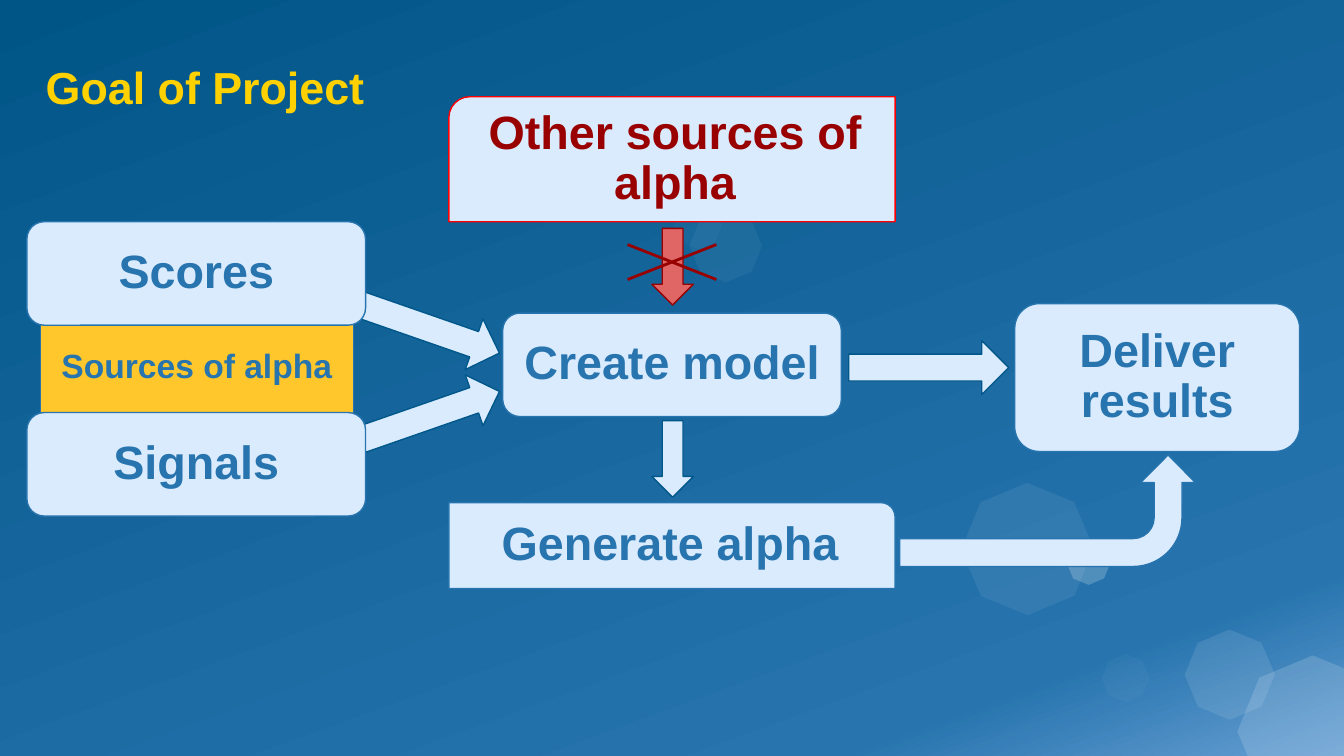
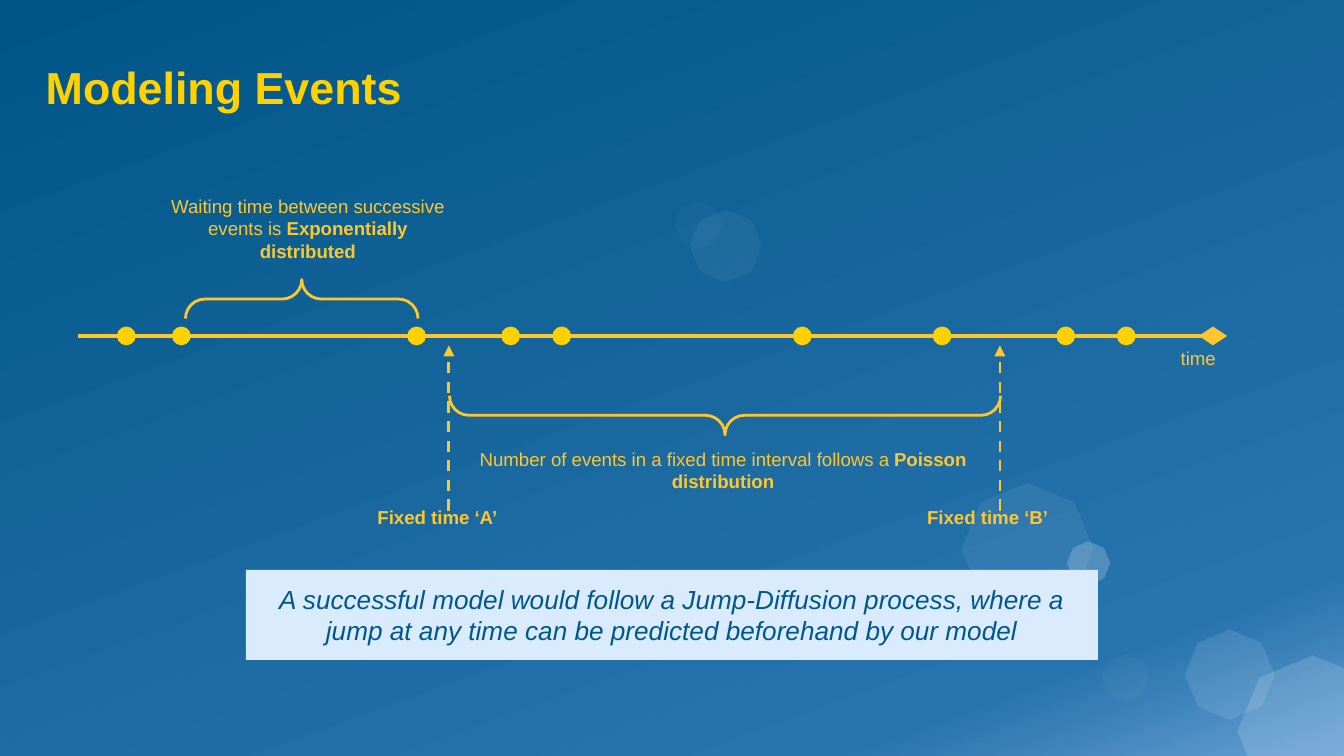
"""Build two slides: the goal of the project and the modeling of events."""
from copy import deepcopy

from pptx import Presentation
from pptx.dml.color import RGBColor
from pptx.enum.dml import MSO_LINE
from pptx.enum.shapes import MSO_CONNECTOR, MSO_SHAPE as Preset
from pptx.enum.text import MSO_ANCHOR as Anchor, MSO_AUTO_SIZE as AutoSize, PP_ALIGN as Align
from pptx.oxml.ns import qn
from pptx.oxml.xmlchemy import OxmlElement
from pptx.util import Emu, Inches, Pt

WHITE = RGBColor(0xFF, 0xFF, 0xFF)
DEEP_BLUE = RGBColor(0x00, 0x55, 0x87)
INK_BLUE = RGBColor(0x00, 0x57, 0x8A)
BLUE = RGBColor(0x27, 0x74, 0xAE)
SKY_BLUE = RGBColor(0x66, 0x9F, 0xD3)
PALE_BLUE = RGBColor(0xDA, 0xEB, 0xFE)
GOLD = RGBColor(0xFF, 0xD1, 0x00)
AMBER = RGBColor(0xFF, 0xC7, 0x2B)
RED = RGBColor(0xFF, 0x00, 0x00)
DARK_RED = RGBColor(0x99, 0x00, 0x00)
CROSS_RED = RGBColor(0x98, 0x00, 0x00)
SOFT_RED = RGBColor(0xE0, 0x66, 0x66)

FONT = "Arial"
SLIDE_WIDTH = Inches(10)
SLIDE_HEIGHT = SLIDE_WIDTH * 9 // 16
GRID = SLIDE_WIDTH // 100
CENTER = 50
AXIS_ROW = 25
BACKGROUND_STOPS = ((0, DEEP_BLUE), (0.85, BLUE), (1, SKY_BLUE))
BOKEH = (
    (92.5, 49.2, 10.4, 15), (88.4, 47.1, 6.2, 10), (71.9, 36.3, 9.1, 7), (79.5, 40.4, 3, 20),
    (82.1, 48.8, 3.3, 3), (50.3, 15.1, 3.3, 3), (51.5, 15.8, 5, 5),
)
EVENT_COLUMNS = (9.4, 13.5, 31, 38, 41.8, 59.7, 70.1, 79.3, 83.8)


def cells(*values):
    """Turn grid columns and rows into slide lengths."""
    return [Emu(round(value * GRID)) for value in values]


def add_preset(slide, preset, box, fill=None, line=None, weight=0.75, rotation=0, flip=False):
    """Add a preset shape on the grid, without a shadow."""
    shape = slide.shapes.add_shape(preset, *cells(*box))
    shape.shadow.inherit = False
    shape.rotation = rotation
    if fill is None:
        shape.fill.background()
    else:
        shape.fill.solid()
        shape.fill.fore_color.rgb = fill
    if line is None:
        shape.line.fill.background()
    else:
        shape.line.color.rgb = line
        shape.line.width = Pt(weight)
    if flip:
        shape.element.spPr.find(qn("a:xfrm")).set("flipH", "1")
    return shape


def add_line(slide, start, end, color, weight, dashed_arrow=False):
    """Add a straight line, optionally dashed with an arrowhead at its end."""
    line = slide.shapes.add_connector(MSO_CONNECTOR.STRAIGHT, *cells(*start, *end))
    line.line.color.rgb = color
    line.line.width = Pt(weight)
    if dashed_arrow:
        line.line.dash_style = MSO_LINE.DASH
        arrowhead = OxmlElement("a:tailEnd")
        arrowhead.set("type", "triangle")
        line.line._get_or_add_ln().append(arrowhead)
    line.element.spPr.append(OxmlElement("a:effectLst"))
    return line


def write(shape, runs, size, color, align=Align.CENTER, anchor=Anchor.TOP, inset=1, italic=False):
    """Write (text, bold) runs as the one paragraph of a shape and return it."""
    frame = shape.text_frame
    frame.word_wrap = True
    frame.vertical_anchor = anchor
    frame.margin_left, frame.margin_top, frame.margin_right, frame.margin_bottom = cells(*[inset] * 4)
    paragraph = frame.paragraphs[0]
    paragraph.alignment = align
    for text, bold in runs:
        run = paragraph.add_run()
        run.text = text
        run.font.name = FONT
        run.font.size = Pt(size)
        run.font.bold = bold
        run.font.italic = italic
        run.font.color.rgb = color
    return paragraph


def add_title(slide, text):
    """Place and fill the title placeholder."""
    title = slide.shapes.title
    title.left, title.top, title.width, title.height = cells(3.4, 4.9, 93.2, 3.6)
    paragraph = write(title, [(text, True)], 24, GOLD, Align.LEFT, Anchor.BOTTOM, inset=0)
    paragraph.line_spacing = 0.9
    title.text_frame.auto_size = AutoSize.SHAPE_TO_FIT_TEXT


def add_node(slide, text, box, preset=Preset.ROUNDED_RECTANGLE, fill=PALE_BLUE, line=BLUE,
             color=BLUE, size=25, flip=False):
    """Add a labelled box of the flow, given its centre column, top, width and height."""
    center, top, width, height = box
    shape = add_preset(slide, preset, (center - width / 2, top, width, height), fill, line, flip=flip)
    paragraph = write(shape, [(text, True)], size, color, anchor=Anchor.MIDDLE)
    paragraph.line_spacing = 0.9
    paragraph.space_before = Pt(7.5)


def add_flow_arrow(slide, box, rotation=0, fill=PALE_BLUE, line=INK_BLUE):
    """Add a block arrow that points down before it is rotated."""
    add_preset(slide, Preset.DOWN_ARROW, box, fill, line, rotation=rotation)


def add_caption(slide, box, runs, align=Align.CENTER):
    """Add a small amber text box."""
    caption = slide.shapes.add_textbox(*cells(*box))
    write(caption, runs, 10, AMBER, align)
    caption.text_frame.auto_size = AutoSize.SHAPE_TO_FIT_TEXT


def style_master(presentation, slide):
    """Give the master its gradient and its translucent octagons, drawn through a slide."""
    master = presentation.slide_master
    fill = master.background.fill
    fill.gradient()
    fill.gradient_angle = 360 - 70
    stop_list = master.element.find(".//" + qn("p:bg")).find(".//" + qn("a:gsLst"))
    stop_list.append(deepcopy(stop_list[-1]))
    for stop, (position, color) in zip(fill.gradient_stops, BACKGROUND_STOPS):
        stop.position = position
        stop.color.rgb = color
    for index, (left, top, size, opacity) in enumerate(BOKEH):
        octagon = add_preset(slide, Preset.OCTAGON, (left, top, size, size), WHITE, rotation=22.2)
        alpha = OxmlElement("a:alpha")
        alpha.set("val", str(opacity * 1000))
        octagon.element.spPr.find(".//" + qn("a:srgbClr")).append(alpha)
        master.shapes.element.insert(2 + index, octagon.element)


def build_goal(slide):
    """Draw the flow from the sources of alpha to the delivered results."""
    add_title(slide, "Goal of Project")
    add_node(slide, "Sources of alpha", (14.65, 17, 23.3, 20.7), Preset.RECTANGLE, AMBER, size=18)
    add_node(slide, "Generate alpha", (CENTER, 37.4, 33.2, 6.4), Preset.ROUND_1_RECTANGLE)
    add_node(slide, "Create model", (CENTER, 23.3, 25.2, 7.7))
    add_node(slide, "Other sources of alpha", (CENTER, 7.2, 33.2, 9.3), Preset.ROUND_1_RECTANGLE,
             line=RED, color=DARK_RED, flip=True)
    add_flow_arrow(slide, (48.5, 17, 3.1, 5.7), fill=SOFT_RED, line=CROSS_RED)
    for start, end in ((18.2, 20.8), (20.8, 18.2)):
        add_line(slide, (46.7, start), (53.3, end), CROSS_RED, 1.5)
    add_flow_arrow(slide, (48.5, 31.3, 3.1, 5.7))
    for text, node_top, arrow_top, tilt in (("Scores", 16.5, 18.3, 19.2), ("Signals", 30.7, 25.1, -19.2)):
        add_flow_arrow(slide, (29.5, arrow_top, 4, 12), 270 + tilt)
        add_node(slide, text, (14.6, node_top, 25.2, 7.7))
    add_node(slide, "Deliver results", (86.1, 22.6, 21.2, 11))
    add_flow_arrow(slide, (67.1, 21.4, 4, 11.9), 270)
    bend = add_preset(slide, Preset.BENT_ARROW, (73.8, 27, 8.3, 22), PALE_BLUE, BLUE,
                      rotation=90, flip=True)
    for index, value in enumerate((0.25, 0.245, 0.247, 0.438)):
        bend.adjustments[index] = value


def add_brace(slide, box, rotation):
    """Add an amber brace whose corners are fully rounded."""
    brace = add_preset(slide, Preset.LEFT_BRACE, box, line=AMBER, weight=1.5, rotation=rotation)
    brace.adjustments[0] = 0.5


def build_events(slide):
    """Draw the time axis with its events, intervals and conclusion."""
    add_title(slide, "Modeling Events")
    add_line(slide, (5.8, AXIS_ROW), (89.7, AXIS_ROW), AMBER, 2.25)
    for column in EVENT_COLUMNS:
        add_preset(slide, Preset.OVAL, (column - 0.7, AXIS_ROW - 0.7, 1.4, 1.4), GOLD)
    add_preset(slide, Preset.FLOWCHART_DECISION, (89.2, AXIS_ROW - 0.7, 2.1, 1.4), AMBER)
    add_brace(slide, (21, 13.6, 2.9, 17.3), 90)
    add_brace(slide, (52.5, 10.4, 2.9, 41), 270)
    add_caption(slide, (10.8, 13.5, 24.2, 5.4), [
        ("Waiting time between successive events is ", False), ("Exponentially distributed", True)])
    for text, column, left in (("Fixed time ‘A’", 33.4, 27.1), ("Fixed time ‘B’", 74.4, 68)):
        add_line(slide, (column, 38), (column, 25.7), AMBER, 1.5, dashed_arrow=True)
        add_caption(slide, (left, 36.8, 16.9, 3.7), [(text, True)], Align.LEFT)
    add_caption(slide, (34, 32.3, 39.6, 5.4), [
        ("Number of events in a fixed time interval follows a ", False), ("Poisson distribution", True)])
    conclusion = add_preset(slide, Preset.RECTANGLE, (18.3, 42.4, 63.4, 6.7), PALE_BLUE)
    write(conclusion, [("A successful model would follow a Jump-Diffusion process, where a jump "
                        "at any time can be predicted beforehand by our model", False)],
          14, INK_BLUE, italic=True)
    conclusion.text_frame.auto_size = AutoSize.SHAPE_TO_FIT_TEXT
    add_caption(slide, (86.2, AXIS_ROW, 5.9, 3.7), [("time", False)])


def main():
    """Build both slides and save the presentation."""
    presentation = Presentation()
    presentation.slide_width = SLIDE_WIDTH
    presentation.slide_height = SLIDE_HEIGHT
    title_only = presentation.slide_layouts.get_by_name("Title Only")
    goal, events = [presentation.slides.add_slide(title_only) for _ in range(2)]
    style_master(presentation, goal)
    build_goal(goal)
    build_events(events)
    presentation.save("out.pptx")


if __name__ == "__main__":
    main()
